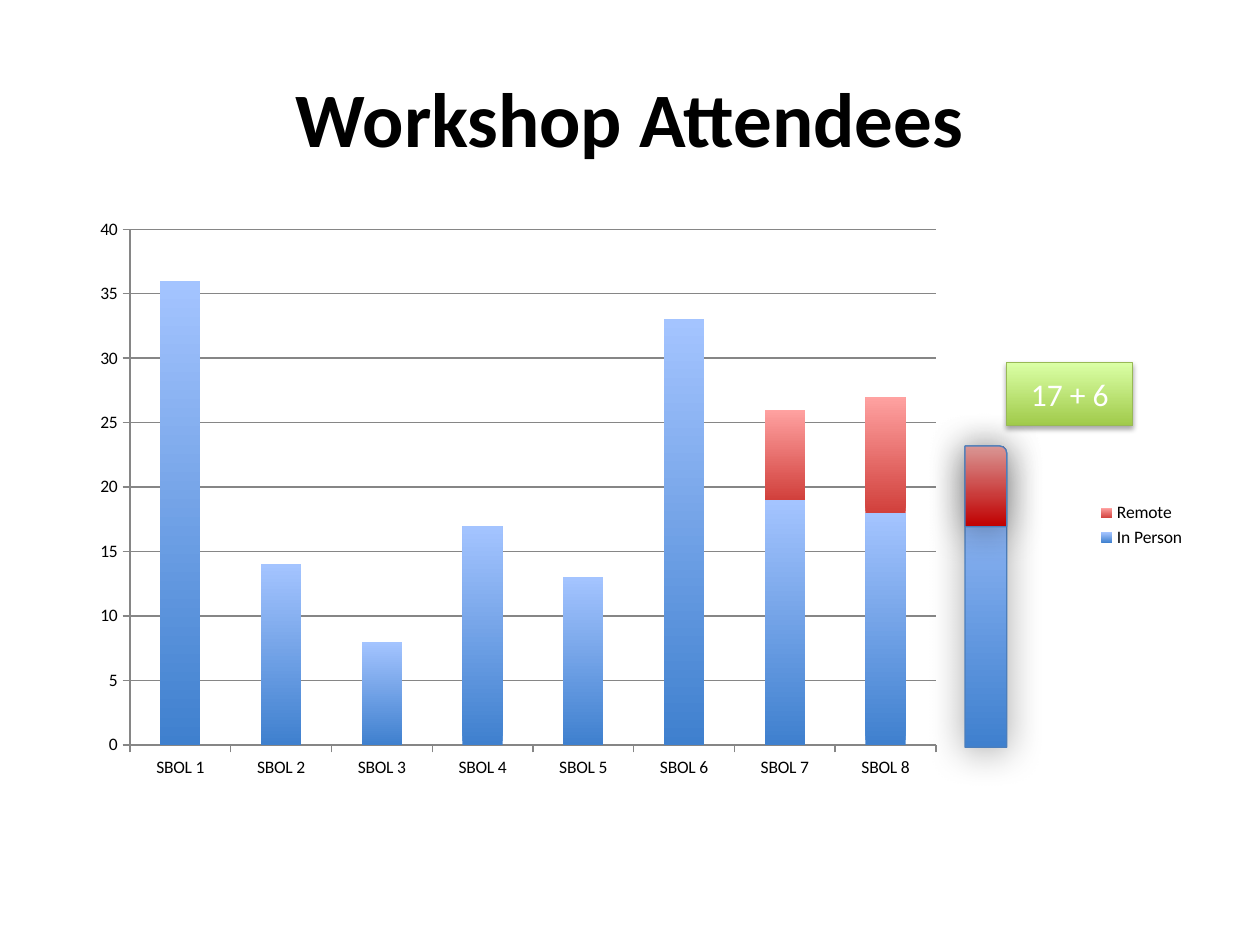
from dataclasses import dataclass

from lxml.etree import SubElement
from pptx import Presentation
from pptx.chart.data import CategoryChartData
from pptx.dml.color import RGBColor
from pptx.enum.chart import XL_CHART_TYPE as ChartType
from pptx.enum.chart import XL_LEGEND_POSITION as LegendPosition
from pptx.enum.chart import XL_TICK_MARK as TickMark
from pptx.enum.shapes import MSO_SHAPE as Shape
from pptx.enum.text import MSO_ANCHOR as Anchor
from pptx.enum.text import PP_ALIGN as Align
from pptx.oxml import parse_xml
from pptx.oxml.ns import nsdecls, qn
from pptx.util import Inches, Pt


@dataclass(frozen=True)
class Gradient:
    bottom: str
    top: str


@dataclass(frozen=True)
class Theme:
    font: str = "Calibri"
    title_size: float = 44
    label_size: float = 18
    chart_size: float = 10
    black: str = "000000"
    white: str = "FFFFFF"
    axis: str = "868686"
    bar_line: str = "4B7EBC"
    label_line: str = "98B955"
    line_width: float = 0.75
    blue: Gradient = Gradient("3F80CE", "A4C4FF")
    red: Gradient = Gradient("D1403C", "FFA2A1")
    dark_red: Gradient = Gradient("C00000", "D99694")
    green: Gradient = Gradient("A0CA4A", "DAFFA5")


@dataclass(frozen=True)
class Block:
    kind: Shape
    left: float
    top: float
    width: float
    height: float
    gradient: Gradient
    line: str
    blur: float
    text: str = ""


@dataclass(frozen=True)
class Series:
    name: str
    values: tuple
    gradient: Gradient


THEME = Theme()
CATEGORIES = [f"SBOL {number}" for number in range(1, 9)]
SERIES = (
    Series("In Person", (36, 14, 8, 17, 13, 33, 19, 18), THEME.blue),
    Series("Remote", (0, 0, 0, 0, 0, 0, 7, 9), THEME.red),
)
BLOCKS = (
    Block(Shape.ROUND_1_RECTANGLE, 7.66, 3.54, 0.33, 2.39, THEME.blue, THEME.bar_line, 22),
    Block(Shape.ROUND_1_RECTANGLE, 7.66, 3.54, 0.33, 0.64, THEME.dark_red, THEME.bar_line, 22),
    Block(Shape.RECTANGLE, 7.99, 2.88, 1, 0.5, THEME.green, THEME.label_line, 3.1, "17 + 6"),
)
PLOT_LAYOUT = {"x": 0.059, "y": 0.028, "w": 0.71, "h": 0.822}


def rgb(color: str) -> RGBColor:
    return RGBColor.from_string(color)


def write_text(box, text: str, *, size: float, color: str, bold: bool = False) -> None:
    frame = box.text_frame
    frame.word_wrap = True
    frame.vertical_anchor = Anchor.MIDDLE
    para = frame.paragraphs[0]
    para.alignment = Align.CENTER
    span = para.add_run()
    span.text = text
    span.font.name = THEME.font
    span.font.size = Pt(size)
    span.font.bold = bold
    span.font.color.rgb = rgb(color)


def fill_gradient(fill, gradient: Gradient) -> None:
    fill.gradient()
    fill.gradient_angle = 90
    for stop, color in zip(fill.gradient_stops, (gradient.bottom, gradient.top)):
        stop.color.rgb = rgb(color)


def style_line(line, color: str) -> None:
    line.color.rgb = rgb(color)
    line.width = Pt(THEME.line_width)


def add_shadow(shape, blur: float) -> None:
    shape.shadow.inherit = False
    effects = shape._element.spPr.find(qn("a:effectLst"))
    shadow = SubElement(
        effects, qn("a:outerShdw"), blurRad=str(Pt(blur)), dist=str(Pt(1.8)),
        dir="5400000", rotWithShape="0",
    )
    color = SubElement(shadow, qn("a:srgbClr"), val=THEME.black)
    SubElement(color, qn("a:alpha"), val="35000")


def add_block(page, block: Block) -> None:
    shape = page.shapes.add_shape(
        block.kind, Inches(block.left), Inches(block.top),
        Inches(block.width), Inches(block.height),
    )
    fill_gradient(shape.fill, block.gradient)
    style_line(shape.line, block.line)
    add_shadow(shape, block.blur)
    if block.text:
        write_text(shape, block.text, size=THEME.label_size, color=THEME.white)


def place_plot(chart) -> None:
    area = chart._chartSpace.chart.plotArea
    for old in area.findall(qn("c:layout")):
        area.remove(old)
    modes = '<c:xMode val="edge"/><c:yMode val="edge"/>'
    sizes = "".join(f'<c:{key} val="{value}"/>' for key, value in PLOT_LAYOUT.items())
    area.insert(0, parse_xml(
        f'<c:layout {nsdecls("c")}><c:manualLayout><c:layoutTarget val="inner"/>'
        f"{modes}{sizes}</c:manualLayout></c:layout>"
    ))


def add_attendee_chart(page) -> None:
    data = CategoryChartData()
    data.categories = CATEGORIES
    for series in SERIES:
        data.add_series(series.name, series.values)
    chart = page.shapes.add_chart(
        ChartType.COLUMN_STACKED, Inches(0.5), Inches(1.68), Inches(9.01), Inches(4.98), data
    ).chart
    chart.has_title = False
    chart.font.name = THEME.font
    chart.font.size = Pt(THEME.chart_size)
    chart.font.color.rgb = rgb(THEME.black)
    chart.has_legend = True
    chart.legend.position = LegendPosition.RIGHT
    chart.legend.include_in_layout = False

    plot = chart.plots[0]
    plot.gap_width = 150
    plot.overlap = 100
    plot.vary_by_categories = False
    for drawn, series in zip(plot.series, SERIES):
        fill_gradient(drawn.format.fill, series.gradient)

    for axis in (chart.category_axis, chart.value_axis):
        axis.major_tick_mark = TickMark.OUTSIDE
        axis.minor_tick_mark = TickMark.NONE
        style_line(axis.format.line, THEME.axis)
    values = chart.value_axis
    values.minimum_scale, values.maximum_scale, values.major_unit = 0, 40, 5
    values.has_major_gridlines = True
    style_line(values.major_gridlines.format.line, THEME.axis)
    place_plot(chart)


def main() -> None:
    deck = Presentation()
    deck.slide_width, deck.slide_height = Inches(10), Inches(7.5)
    page = deck.slides.add_slide(deck.slide_layouts[6])
    title = page.shapes.add_textbox(Inches(0.5), Inches(0.3), Inches(9), Inches(1.25))
    write_text(title, "Workshop Attendees", size=THEME.title_size, color=THEME.black, bold=True)
    add_attendee_chart(page)
    for block in BLOCKS:
        add_block(page, block)
    deck.save("out.pptx")


if __name__ == "__main__":
    main()
